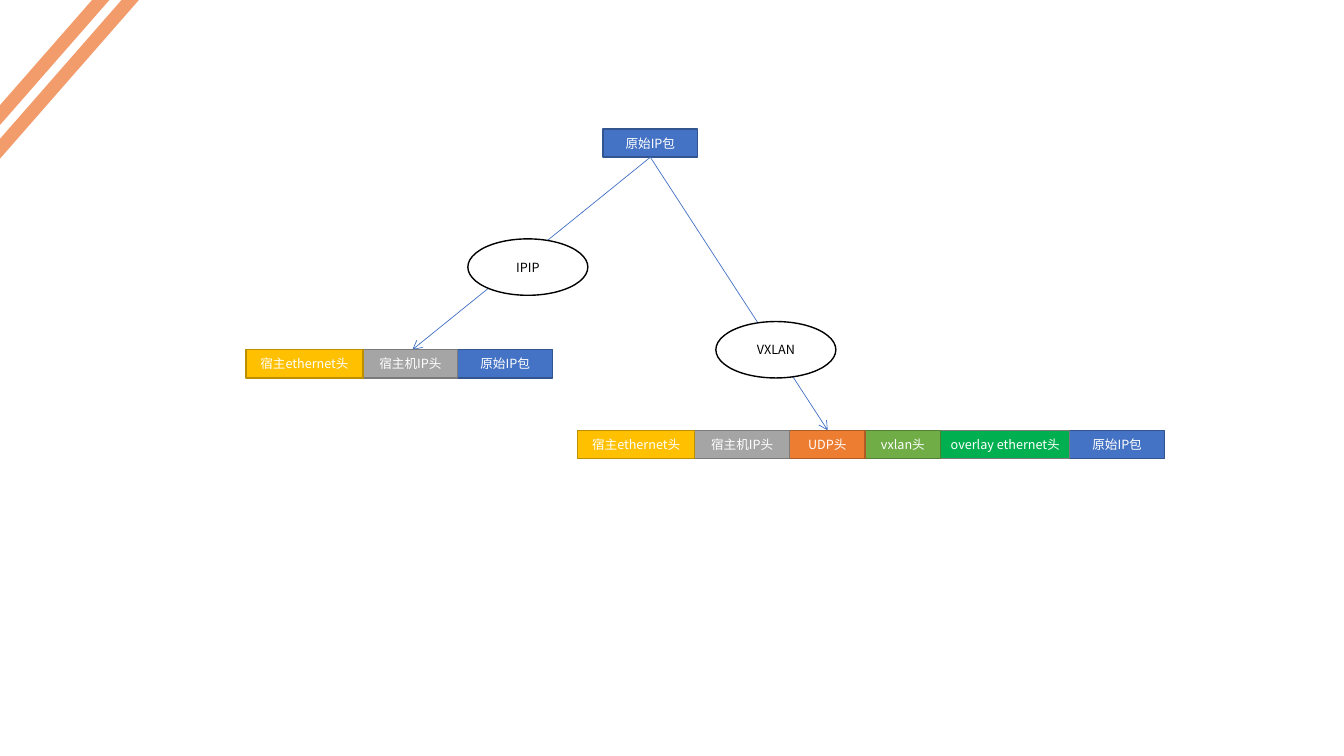
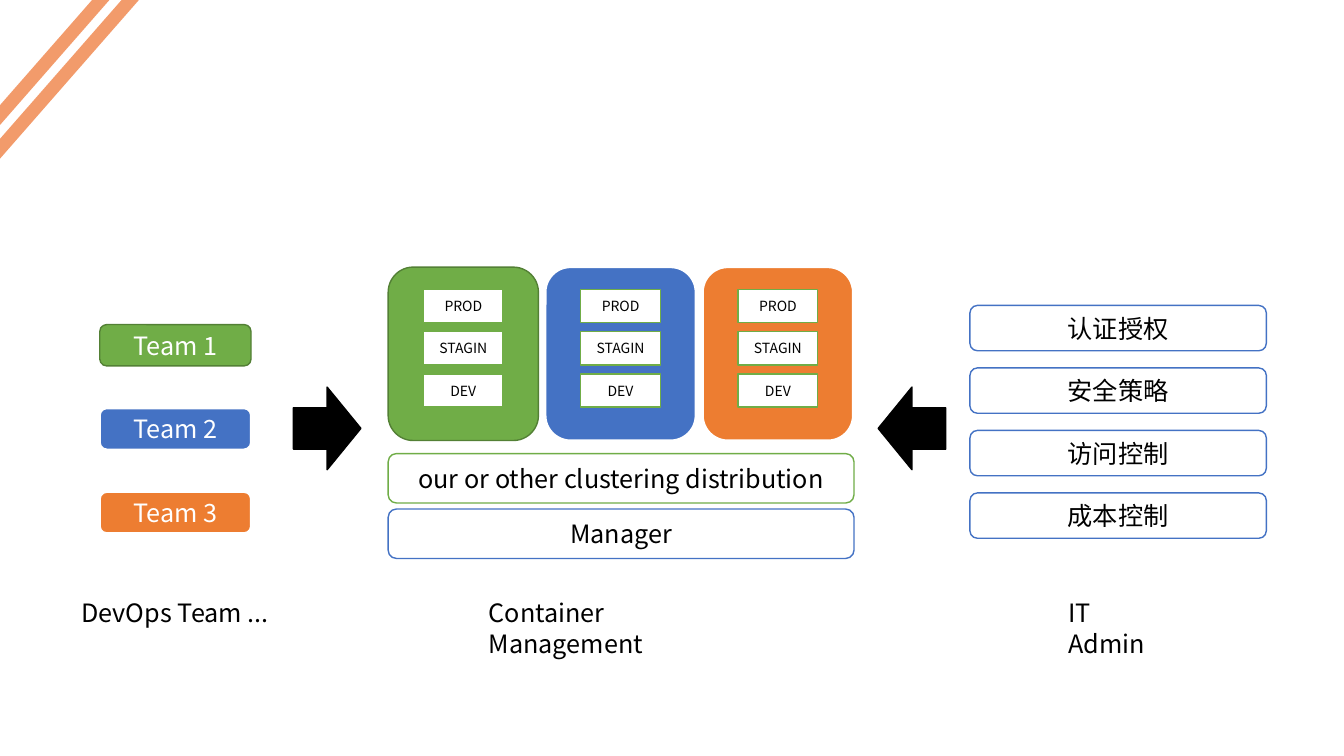
from lxml.etree import SubElement
from pptx import Presentation
from pptx.dml.color import RGBColor
from pptx.enum.shapes import MSO_CONNECTOR, MSO_SHAPE
from pptx.enum.text import MSO_ANCHOR, PP_ALIGN
from pptx.oxml.ns import qn
from pptx.util import Inches, Pt

FONT = "Noto Sans CJK SC"
WHITE, BLACK, STRIPE = "FFFFFF", "000000", "ED6A23"
BLUE, NAVY = "4472C4", "325491"
GREEN, MOSS = "70AD47", "538035"
ORANGE, RUST = "ED7D31", "AF5C24"
GREY, SLATE = "A5A5A5", "7A7A7A"
GOLD, OCHRE = "FFC000", "BD8E00"
EMERALD = "00B050"

# Packet parts: text, width, fill, line
PACKET = ("原始IP包", 0.94, BLUE, NAVY)
HOST_IP = ("宿主机IP头", 0.94, GREY, SLATE)
HOST_ETH = ("宿主ethernet头", 1.16, GOLD, OCHRE)
UDP = ("UDP头", 0.75, ORANGE, RUST)
VXLAN = ("vxlan头", 0.75, GREEN, MOSS)
OVERLAY = ("overlay ethernet头", 1.28, EMERALD, SLATE)
PART_H = 0.28

# Teams: fill, line, line width
TEAMS = [(GREEN, MOSS, 1), (BLUE, WHITE, 1.5), (ORANGE, WHITE, 1.5)]
STAGES = ["PROD", "STAGIN", "DEV"]
POLICIES = ["认证授权", "安全策略", "访问控制", "成本控制"]


def paint(target, color):
    """Give a fill or a line's fill one solid colour."""
    target.solid()
    target.fore_color.rgb = RGBColor.from_string(color)


def write(shape, text, size=18, color=BLACK, align=PP_ALIGN.CENTER, anchor=MSO_ANCHOR.MIDDLE):
    frame = shape.text_frame
    frame.word_wrap = True
    frame.vertical_anchor = anchor
    para = frame.paragraphs[0]
    para.alignment = align
    run = para.add_run()
    run.text = text
    run.font.size = Pt(size)
    run.font.name = FONT
    paint(run.font.fill, color)
    SubElement(run.font._element, qn("a:ea"), typeface=FONT)


def draw(slide, kind, left, top, width, height, fill=WHITE, line=None, weight=1, turn=0):
    shape = slide.shapes.add_shape(kind, Inches(left), Inches(top), Inches(width), Inches(height))
    shape.shadow.inherit = False
    shape.rotation = turn
    paint(shape.fill, fill)
    if line:
        paint(shape.line.fill, line)
        shape.line.width = Pt(weight)
    else:
        shape.line.fill.background()
    return shape


def label(slide, text, left, top, width):
    box = slide.shapes.add_textbox(Inches(left), Inches(top), Inches(width), Inches(0.4))
    write(box, text, align=PP_ALIGN.LEFT, anchor=MSO_ANCHOR.TOP)


def link(slide, source, x, y):
    """Arrow from the bottom of a shape to a point."""
    line = slide.shapes.add_connector(MSO_CONNECTOR.STRAIGHT, 0, 0, Inches(x), Inches(y))
    line.begin_connect(source, 2)
    paint(line.line.fill, BLUE)
    line.line.width = Pt(0.5)
    SubElement(line.line._get_or_add_ln(), qn("a:tailEnd"), type="arrow")
    SubElement(line._element.spPr, qn("a:effectLst"))


def part(slide, item, left, top):
    text, width, fill, line = item
    box = draw(slide, MSO_SHAPE.RECTANGLE, left, top, width, PART_H, fill, line)
    write(box, text, size=9, color=WHITE)
    return box


def chain(slide, parts, right, top):
    """Lay packet parts edge to edge, the last one ending at right."""
    for item in reversed(parts):
        right -= item[1]
        part(slide, item, right, top)


def oval(slide, text, left, top):
    shape = draw(slide, MSO_SHAPE.OVAL, left, top, 1.19, 0.56, line=BLACK)
    write(shape, text, size=9)


def bar(slide, text, left, top, width, height, fill=WHITE, line=BLUE, weight=1, color=BLACK):
    shape = draw(slide, MSO_SHAPE.ROUNDED_RECTANGLE, left, top, width, height, fill, line, weight)
    write(shape, text, color=color)


def start(deck):
    """New slide with the corner stripes."""
    slide = deck.slides.add_slide(deck.slide_layouts[6])
    for left, top in [(-0.52, 0.68), (-0.69, 0.54)]:
        band = draw(slide, MSO_SHAPE.RECTANGLE, left, top, 2.32, 0.13, STRIPE, turn=311.2)
        color = band.fill._xPr.find(".//" + qn("a:srgbClr"))
        SubElement(color, qn("a:alpha"), val="67000")
    return slide


def tunnels(slide):
    source = part(slide, PACKET, 5.98, 1.28)
    # IPIP branch
    link(slide, source, 4.09, 3.47)
    oval(slide, "IPIP", 4.64, 2.37)
    chain(slide, [HOST_ETH, HOST_IP, PACKET], 5.48, 3.47)
    # VXLAN branch
    link(slide, source, 8.21, 4.27)
    oval(slide, "VXLAN", 7.1, 3.19)
    chain(slide, [HOST_ETH, HOST_IP, UDP, VXLAN, OVERLAY, PACKET], 11.55, 4.27)


def platform(slide):
    # Teams and their stages
    for i, (fill, line, weight) in enumerate(TEAMS):
        bar(slide, f"Team {i + 1}", 0.99, 3.22 + 0.83 * i, 1.5, 0.41, fill, line, weight, WHITE)
        left = 3.85 + 1.56 * i
        draw(slide, MSO_SHAPE.ROUNDED_RECTANGLE, left, 2.65, 1.49, 1.72, fill, line, weight)
        for j, stage in enumerate(STAGES):
            box = draw(slide, MSO_SHAPE.RECTANGLE, left + 0.35, 2.87 + 0.42 * j, 0.79, 0.33, line=GREEN)
            write(box, stage, size=10)

    # Base layers
    bar(slide, "our or other clustering distribution", 3.85, 4.5, 4.62, 0.49, line=GREEN)
    bar(slide, "Manager", 3.85, 5.05, 4.62, 0.49)

    # Policies
    for i, policy in enumerate(POLICIES):
        bar(slide, policy, 9.62, 3.03 + 0.62 * i, 2.94, 0.45)

    # Arrows towards the centre
    for left, turn in [(2.91, 0), (8.71, 180)]:
        draw(slide, MSO_SHAPE.RIGHT_ARROW, left, 3.84, 0.67, 0.82, BLACK, BLACK, turn=turn)

    # Column captions
    for text, left, width in [("DevOps Team ...", 0.71, 2.3), ("Container Management", 4.75, 2),
                              ("IT Admin", 10.5, 1.05)]:
        label(slide, text, left, 5.88, width)


def main():
    deck = Presentation()
    deck.slide_width, deck.slide_height = Inches(13.33), Inches(7.5)
    tunnels(start(deck))
    platform(start(deck))
    deck.save("out.pptx")


if __name__ == "__main__":
    main()
